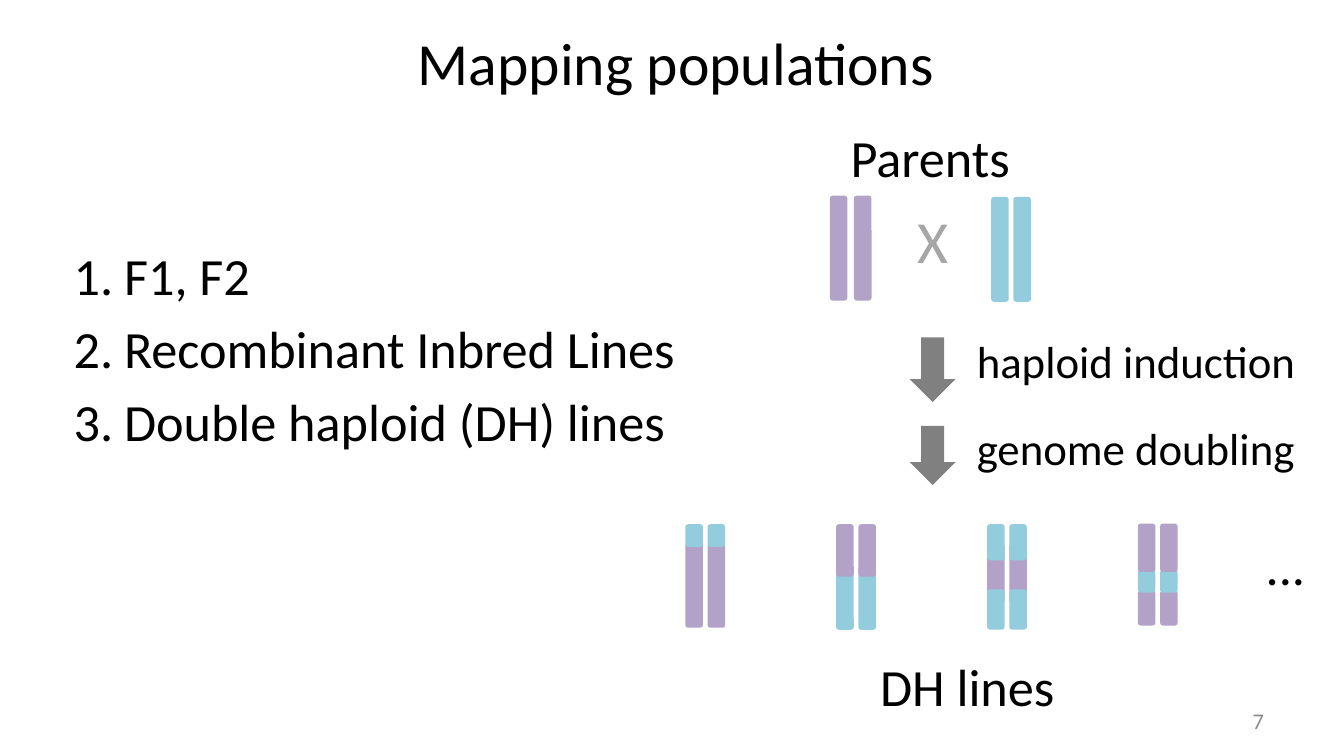
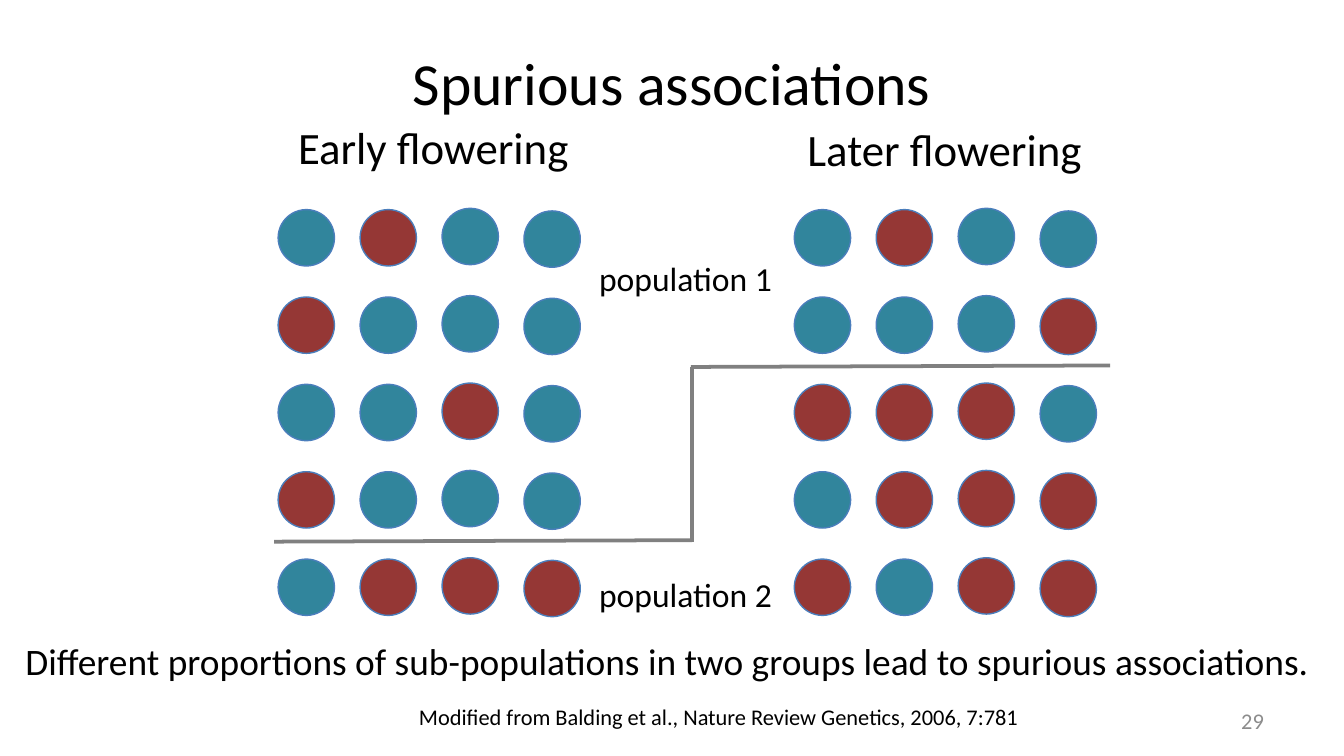
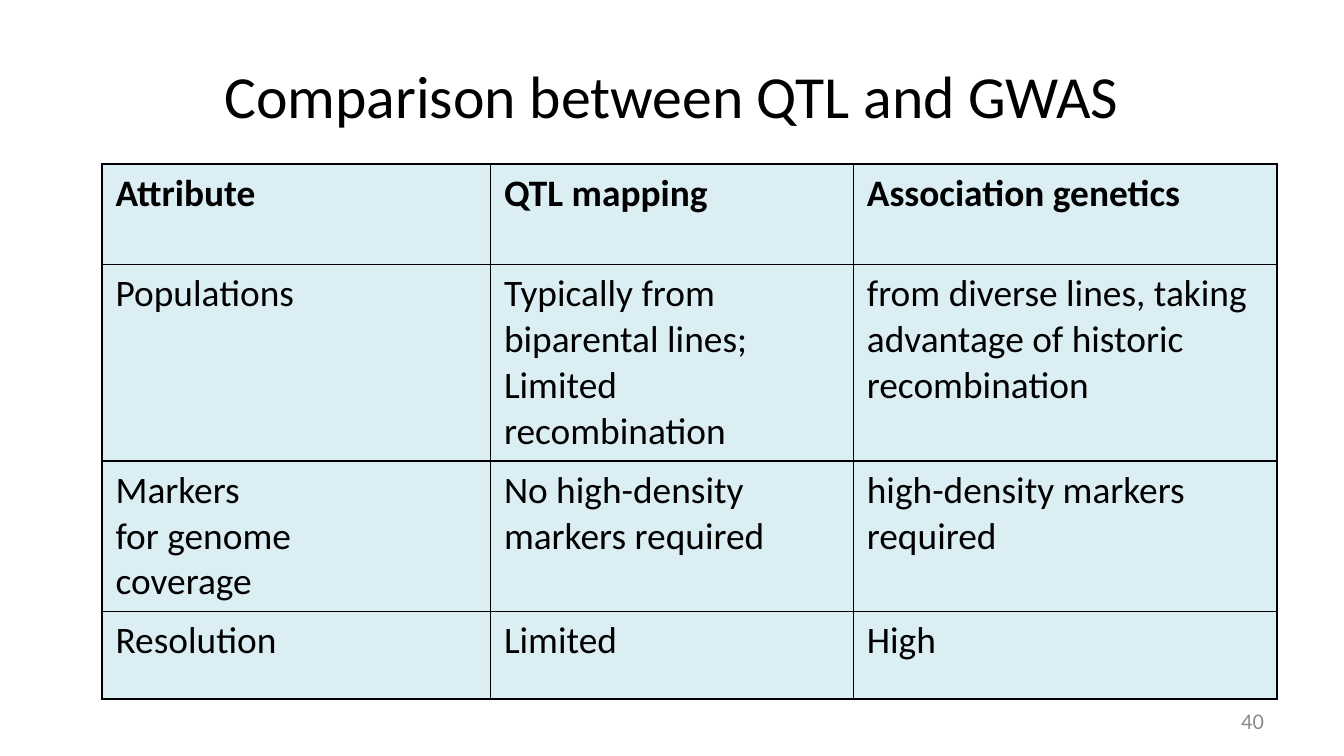
from dataclasses import dataclass

from lxml import etree
from pptx import Presentation
from pptx.dml.color import RGBColor
from pptx.enum.shapes import MSO_CONNECTOR, MSO_SHAPE
from pptx.enum.text import MSO_ANCHOR, MSO_AUTO_SIZE, PP_ALIGN
from pptx.oxml.ns import qn
from pptx.util import Pt

ROUNDED, OVAL, DOWN_ARROW = MSO_SHAPE.ROUNDED_RECTANGLE, MSO_SHAPE.OVAL, MSO_SHAPE.DOWN_ARROW
STRAIGHT = MSO_CONNECTOR.STRAIGHT
LEFT, CENTER, RIGHT = PP_ALIGN.LEFT, PP_ALIGN.CENTER, PP_ALIGN.RIGHT
TOP, MIDDLE = MSO_ANCHOR.TOP, MSO_ANCHOR.MIDDLE
FIT_SHAPE, NO_FIT = MSO_AUTO_SIZE.SHAPE_TO_FIT_TEXT, MSO_AUTO_SIZE.NONE

FONT = "Calibri"
BLACK = RGBColor(0x00, 0x00, 0x00)
NUMBER_GRAY = RGBColor(0x8C, 0x8C, 0x8C)
CROSS_GRAY = RGBColor(0xA6, 0xA6, 0xA6)
GRAY = RGBColor(0x80, 0x80, 0x80)
PURPLE = RGBColor(0xB3, 0xA2, 0xC7)
BLUE = RGBColor(0x93, 0xCD, 0xDD)
TEAL = RGBColor(0x31, 0x85, 0x9C)
RED = RGBColor(0x95, 0x37, 0x35)
OUTLINE = RGBColor(0x4B, 0x7E, 0xBC)
CELL_FILL = RGBColor(0xDB, 0xEE, 0xF4)

TITLE_ONLY = 5
BAR_WIDTH = 9.4
LIST_INDENT = 27


@dataclass(frozen=True)
class Area:
    left: float
    top: float
    width: float
    height: float

    def lengths(self) -> tuple:
        return Pt(self.left), Pt(self.top), Pt(self.width), Pt(self.height)


@dataclass(frozen=True)
class Label:
    text: str
    area: Area
    size: float
    color: RGBColor = BLACK
    wrap: bool = False


@dataclass(frozen=True)
class Segment:
    color: RGBColor
    top: float
    length: float


@dataclass(frozen=True)
class Chromosomes:
    """Two equal bars; center is the middle of the left one."""
    center: float
    gap: float
    segments: tuple


PARENTS = (
    Chromosomes(449.3, 12.9, (Segment(PURPLE, 104.8, 56.2),)),
    Chromosomes(535.7, 11.9, (Segment(BLUE, 105.5, 56.2),)),
)
DH_LINES = (
    (Segment(PURPLE, 290.9, 45.4), Segment(BLUE, 280.8, 12.2)),
    (Segment(BLUE, 302.8, 34.6), Segment(PURPLE, 280.8, 28.1)),
    (Segment(PURPLE, 291.2, 31.7), Segment(BLUE, 280.8, 19.4), Segment(BLUE, 315.7, 21.6)),
    (Segment(PURPLE, 316.4, 18.7), Segment(BLUE, 305.3, 12.2), Segment(PURPLE, 280.5, 25.9)),
)
DH_LEFT, DH_STEP, DH_GAP = 371.9, 80.8, 11.9
ARROWS = (Area(487.4, 180.7, 24.5, 34.6), Area(487.4, 228.2, 24.5, 31.7))
POPULATION_TYPES = ("F1, F2", "Recombinant Inbred Lines", "Double haploid (DH) lines")
CROSS_LABELS = (
    Label("X", Area(484.6, 105.8, 31, 46.1), 32, CROSS_GRAY),
    Label("Parents", Area(448.6, 63.4, 102.2, 41), 28),
    Label("DH lines", Area(464.4, 347, 108.7, 41), 28),
    Label("...", Area(671, 282.2, 36, 41), 28),
)

# One letter per plant: T for teal, R for red.
EARLY_PLANTS = ("TRTT", "RTTT", "TTRT", "RTTT", "TRRR")
LATER_PLANTS = ("TRTT", "TTTR", "RRRT", "TRRR", "RTRR")
PLANT_COLORS = {"T": TEAL, "R": RED}
PLANT_SIZE, PLANT_TOP = 30.2, 112.3
COLUMN_STEP, ROW_STEP = 43.9, 46.8
COLUMN_SHIFTS = (0, 0, -0.7, 0.7)
DIVIDER = (
    (146.9, 290.2, 370.8, 289.4),
    (370.1, 196.6, 594.7, 195.8),
    (370.8, 196.6, 370.8, 290.2),
)
ASSOCIATION_LABELS = (
    Label("Early flowering", Area(152.6, 60.5, 161.3, 36), 24),
    Label("Later flowering", Area(425.5, 61.9, 163.4, 36), 24),
    Label("Different proportions of sub-populations in two groups lead to spurious associations.",
          Area(6.5, 338.4, 707, 31.7), 20, wrap=True),
    Label("Modified from Balding et al., Nature Review Genetics, 2006, 7:781",
          Area(217.4, 373, 345.6, 21.6), 12),
    Label("population 1", Area(313.9, 134.6, 108, 28.8), 18),
    Label("population 2", Area(313.9, 303.8, 108, 28.8), 18),
)

COMPARISON = (
    ("Attribute", "QTL mapping", "Association genetics"),
    ("Populations", "Typically from biparental lines; Limited recombination",
     "from diverse lines, taking advantage of historic recombination"),
    ("Markers\nfor genome\ncoverage", "No high-density markers required",
     "high-density markers required"),
    ("Resolution", "Limited", "High"),
)
COLUMN_WIDTHS = (208.1, 194.4, 226.8)
ROW_HEIGHTS = (54, 35.3, 75.6, 46.8)


def write_text(frame, text: str, *, size: float, color: RGBColor = BLACK, bold: bool = False,
               align=LEFT, numbered: bool = False, spacing: float = 1, gap: float = 0) -> None:
    """Write one paragraph per line, with gap points between them."""
    for index, line in enumerate(text.split("\n")):
        para = frame.paragraphs[0] if index == 0 else frame.add_paragraph()
        if numbered:
            properties = para._p.get_or_add_pPr()
            properties.set("marL", str(Pt(LIST_INDENT)))
            properties.set("indent", str(-Pt(LIST_INDENT)))
            etree.SubElement(properties, qn("a:buAutoNum"), type="arabicPeriod")
        para.alignment = align
        para.line_spacing = spacing
        if index and gap:
            para.space_before = Pt(gap)
        span = para.add_run()
        span.text = line
        span.font.name = FONT
        span.font.size = Pt(size)
        span.font.bold = bold
        span.font.color.rgb = color


def add_text(page, text: str, area: Area, *, wrap: bool = False, fit=FIT_SHAPE,
             anchor=TOP, **text_format) -> None:
    frame = page.shapes.add_textbox(*area.lengths()).text_frame
    frame.word_wrap = wrap
    frame.auto_size = fit
    frame.vertical_anchor = anchor
    write_text(frame, text, **text_format)


def add_labels(page, labels: tuple) -> None:
    for label in labels:
        add_text(page, label.text, label.area, wrap=label.wrap, size=label.size, color=label.color)


def add_page(deck, title: str, title_area: Area, number: int):
    page = deck.slides.add_slide(deck.slide_layouts[TITLE_ONLY])
    heading = page.shapes.title
    heading.left, heading.top, heading.width, heading.height = title_area.lengths()
    heading.text_frame.vertical_anchor = MIDDLE
    write_text(heading.text_frame, title, size=32, align=CENTER)
    add_text(page, str(number), Area(516.2, 375.1, 168, 21.6), wrap=True, fit=NO_FIT,
             anchor=MIDDLE, size=12, color=NUMBER_GRAY, align=RIGHT)
    return page


def add_filled(shapes, kind, area: Area, fill: RGBColor, outline: RGBColor | None = None):
    shape = shapes.add_shape(kind, *area.lengths())
    shape.shadow.inherit = False
    shape.fill.solid()
    shape.fill.fore_color.rgb = fill
    if outline is None:
        shape.line.fill.background()
    else:
        shape.line.color.rgb = outline
        shape.line.width = Pt(0.75)
    return shape


def add_chromosomes(page, pair: Chromosomes) -> None:
    group = page.shapes.add_group_shape()
    for center in (pair.center, pair.center + pair.gap):
        for segment in pair.segments:
            middle = segment.top + segment.length / 2
            area = Area(center - segment.length / 2, middle - BAR_WIDTH / 2,
                        segment.length, BAR_WIDTH)
            add_filled(group.shapes, ROUNDED, area, segment.color).rotation = 270


def add_plants(page, left: float, rows: tuple) -> None:
    for row, plants in enumerate(rows):
        group = page.shapes.add_group_shape()
        for column, plant in enumerate(plants):
            area = Area(left + column * COLUMN_STEP,
                        PLANT_TOP + row * ROW_STEP + COLUMN_SHIFTS[column],
                        PLANT_SIZE, PLANT_SIZE)
            add_filled(group.shapes, OVAL, area, PLANT_COLORS[plant], OUTLINE)


def add_divider(page) -> None:
    group = page.shapes.add_group_shape()
    for ends in DIVIDER:
        line = group.shapes.add_connector(STRAIGHT, *map(Pt, ends))
        line.line.color.rgb = GRAY
        line.line.width = Pt(2)
        etree.SubElement(line._element.spPr, qn("a:effectLst"))


def add_borders(cell) -> None:
    properties = cell._tc.get_or_add_tcPr()
    for position, side in enumerate(("a:lnL", "a:lnR", "a:lnT", "a:lnB")):
        border = etree.Element(qn(side), w=str(Pt(1)))
        fill = etree.SubElement(border, qn("a:solidFill"))
        etree.SubElement(fill, qn("a:srgbClr"), val=str(BLACK))
        properties.insert(position, border)


def add_comparison(page) -> None:
    area = Area(54.7, 87.8, sum(COLUMN_WIDTHS), sum(ROW_HEIGHTS))
    table = page.shapes.add_table(len(ROW_HEIGHTS), len(COLUMN_WIDTHS), *area.lengths()).table
    table.first_row = table.horz_banding = False
    for column, width in zip(table.columns, COLUMN_WIDTHS):
        column.width = Pt(width)
    for row_index, texts in enumerate(COMPARISON):
        table.rows[row_index].height = Pt(ROW_HEIGHTS[row_index])
        for column_index, text in enumerate(texts):
            cell = table.cell(row_index, column_index)
            cell.fill.solid()
            cell.fill.fore_color.rgb = CELL_FILL
            add_borders(cell)
            write_text(cell.text_frame, text, size=20, bold=row_index == 0)


def build_populations(deck) -> None:
    page = add_page(deck, "Mapping populations", Area(38.2, 3.6, 648, 59), 7)
    add_text(page, "\n".join(POPULATION_TYPES), Area(32.4, 126.7, 340.6, 122.4),
             size=28, numbered=True, gap=5.6)
    for pair in PARENTS:
        add_chromosomes(page, pair)
    for index, segments in enumerate(DH_LINES):
        add_chromosomes(page, Chromosomes(DH_LEFT + index * DH_STEP, DH_GAP, segments))
    for area in ARROWS:
        add_filled(page.shapes, DOWN_ARROW, area, GRAY)
    add_labels(page, CROSS_LABELS)
    add_text(page, "haploid induction\ngenome doubling", Area(516.2, 180.7, 190.8, 77.8),
             wrap=True, size=24, spacing=0.8, gap=23.4)


def build_associations(deck) -> None:
    page = add_page(deck, "Spurious associations", Area(36, 8.6, 648, 70.6), 29)
    add_plants(page, 149, EARLY_PLANTS)
    add_plants(page, 425.5, LATER_PLANTS)
    add_divider(page)
    add_labels(page, ASSOCIATION_LABELS)


def build_comparison(deck) -> None:
    page = add_page(deck, "Comparison between QTL and GWAS", Area(36, 16.6, 648, 67.7), 40)
    add_comparison(page)


def main() -> None:
    deck = Presentation()
    deck.slide_width, deck.slide_height = Pt(720), Pt(405)
    build_populations(deck)
    build_associations(deck)
    build_comparison(deck)
    deck.save("out.pptx")


if __name__ == "__main__":
    main()
